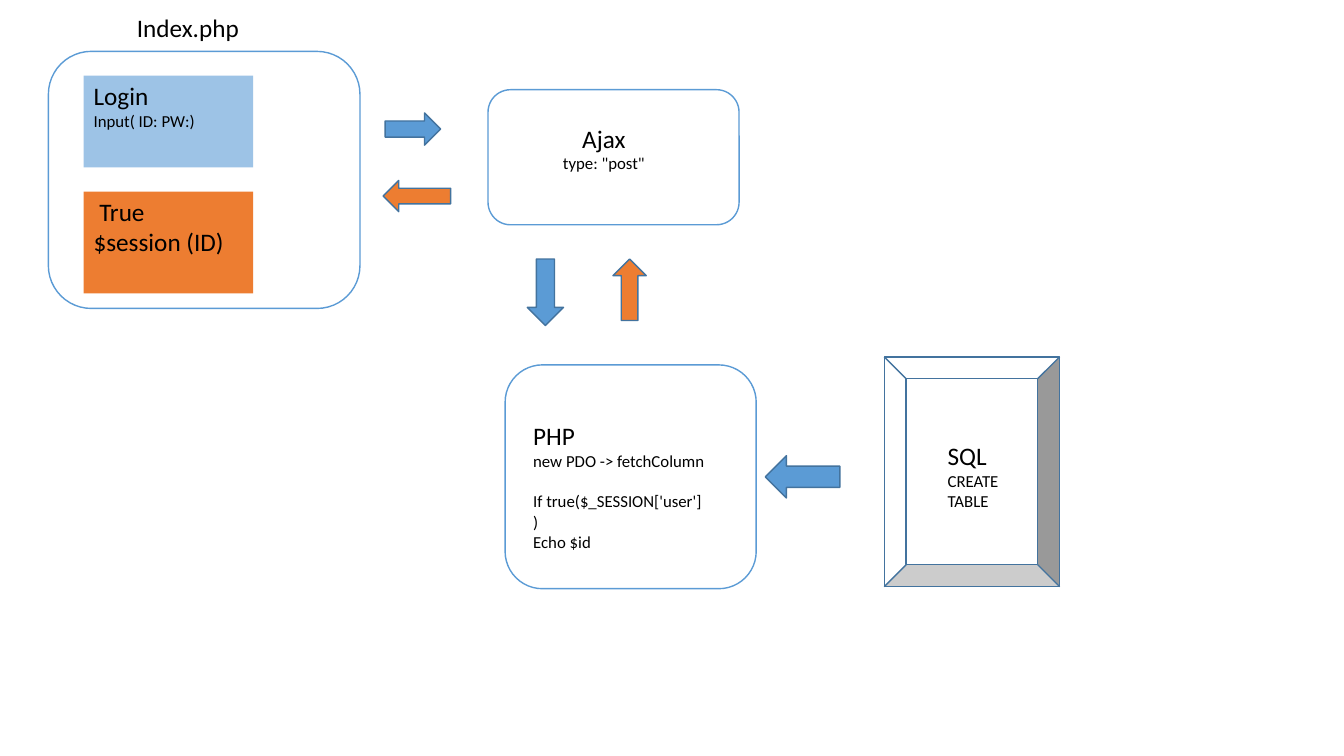
from pptx import Presentation
from pptx.dml.color import RGBColor
from pptx.enum.shapes import MSO_SHAPE
from pptx.enum.text import MSO_ANCHOR, PP_ALIGN
from pptx.util import Inches, Pt

BLACK = RGBColor(0x00, 0x00, 0x00)
WHITE = RGBColor(0xFF, 0xFF, 0xFF)
BLUE = RGBColor(0x5B, 0x9B, 0xD5)
DARK_BLUE = RGBColor(0x43, 0x73, 0x9E)
LIGHT_BLUE = RGBColor(0x9D, 0xC3, 0xE6)
ORANGE = RGBColor(0xED, 0x7D, 0x31)

HEADING = 18
DETAIL = 12
BLANK_LINE = 14.65


class FlowSlide:
    """Draws the boxes, arrows and labels of the login flow on one slide."""

    font_name = "Calibri"

    def __init__(self, presentation):
        self.slide = presentation.slides.add_slide(presentation.slide_layouts[6])

    def add_box(self, kind, bounds, fill, line=None):
        shape = self.slide.shapes.add_shape(kind, *map(Inches, bounds))
        shape.shadow.inherit = False
        shape.fill.solid()
        shape.fill.fore_color.rgb = fill
        if line is None:
            shape.line.fill.background()
        else:
            shape.line.color.rgb = line
            shape.line.width = Pt(1)
        return shape

    def add_lines(self, shape, lines, alignment=PP_ALIGN.LEFT):
        frame = shape.text_frame
        frame.word_wrap = True
        frame.vertical_anchor = MSO_ANCHOR.TOP
        for index, (text, size, space_before) in enumerate(lines):
            paragraph = frame.add_paragraph() if index else frame.paragraphs[0]
            paragraph.alignment = alignment
            paragraph.space_before = Pt(space_before)
            run = paragraph.add_run()
            run.text = text
            run.font.name = self.font_name
            run.font.size = Pt(size)
            run.font.color.rgb = BLACK

    def add_label(self, bounds, lines, alignment=PP_ALIGN.LEFT):
        label = self.slide.shapes.add_textbox(*map(Inches, bounds))
        self.add_lines(label, lines, alignment)

    def add_card(self, bounds, fill, lines):
        self.add_lines(self.add_box(MSO_SHAPE.RECTANGLE, bounds, fill), lines)


def main():
    presentation = Presentation()
    presentation.slide_width = Inches(13.33)
    presentation.slide_height = Inches(7.5)
    flow = FlowSlide(presentation)

    for bounds in (
        (5.01, 3.62, 2.49, 2.22),
        (4.84, 0.89, 2.49, 1.34),
        (0.48, 0.51, 3.09, 2.55),
    ):
        flow.add_box(MSO_SHAPE.ROUNDED_RECTANGLE, bounds, WHITE, BLUE)
    flow.add_box(MSO_SHAPE.BEVEL, (8.77, 3.54, 1.74, 2.28), WHITE, DARK_BLUE)

    flow.add_label((1.26, 0.07, 2.24, 0.4), [("Index.php", HEADING, 0)])
    flow.add_label(
        (5.18, 1.17, 1.62, 0.91),
        [("Ajax", HEADING, 0), ('type: "post"', DETAIL, 0)],
        PP_ALIGN.CENTER,
    )
    flow.add_label(
        (5.19, 4.12, 2.13, 1.41),
        [
            ("PHP", HEADING, 0),
            ("new PDO -> fetchColumn", DETAIL, 0),
            ("If true($_SESSION['user']", DETAIL, BLANK_LINE),
            (")", DETAIL, 0),
            ("Echo $id", DETAIL, 0),
        ],
    )
    flow.add_label(
        (9.3, 4.32, 0.95, 0.81),
        [("SQL", HEADING, 0), ("CREATE TABLE", DETAIL, 0)],
    )

    flow.add_card(
        (0.83, 0.75, 1.68, 0.91),
        LIGHT_BLUE,
        [("Login", HEADING, 0), ("Input( ID: PW:)", DETAIL, 0)],
    )
    flow.add_card(
        (0.83, 1.9, 1.68, 1.01),
        ORANGE,
        [(" True", HEADING, 0), ("$session (ID)", HEADING, 0)],
    )

    for kind, bounds, fill in (
        (MSO_SHAPE.RIGHT_ARROW, (3.82, 1.12, 0.55, 0.32), BLUE),
        (MSO_SHAPE.DOWN_ARROW, (5.23, 2.57, 0.36, 0.66), BLUE),
        (MSO_SHAPE.LEFT_ARROW, (7.59, 4.52, 0.74, 0.42), BLUE),
        (MSO_SHAPE.UP_ARROW, (6.08, 2.57, 0.33, 0.61), ORANGE),
        (MSO_SHAPE.LEFT_ARROW, (3.8, 1.79, 0.67, 0.31), ORANGE),
    ):
        flow.add_box(kind, bounds, fill, DARK_BLUE)

    presentation.save("out.pptx")


if __name__ == "__main__":
    main()
